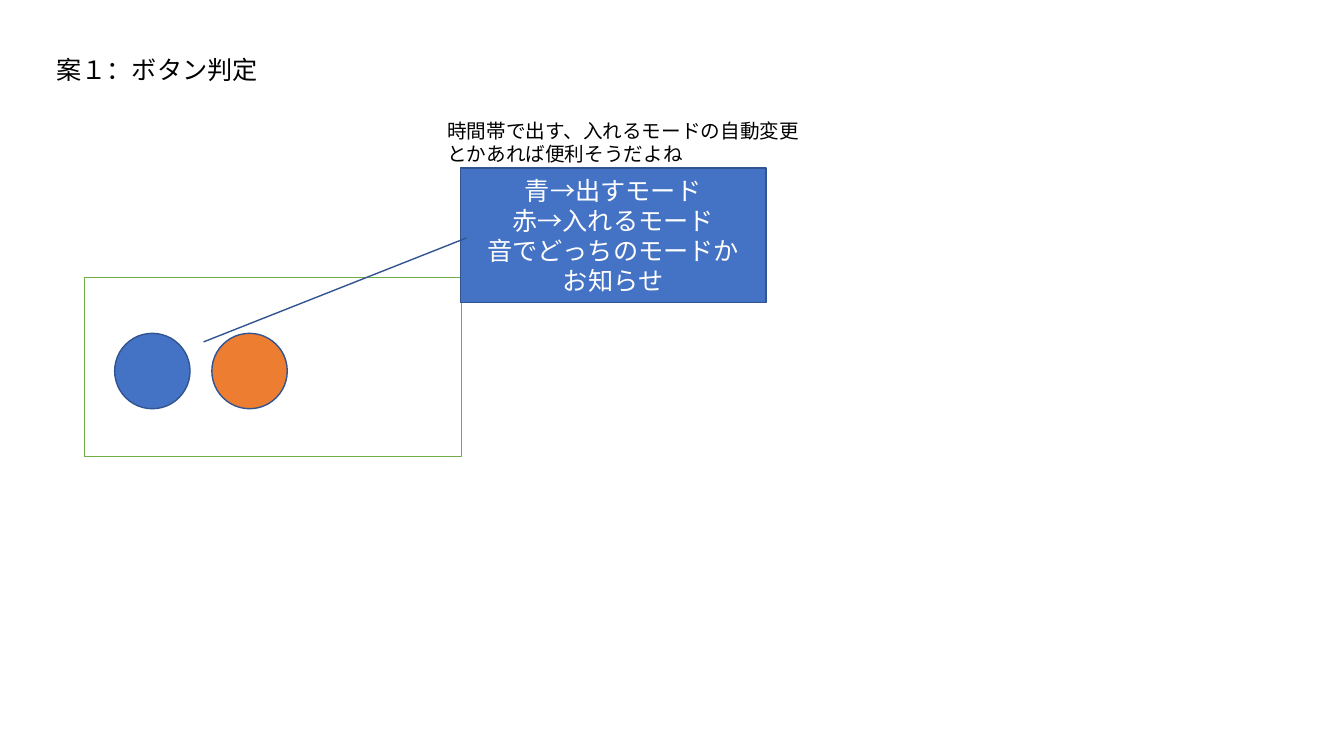
from lxml.etree import SubElement
from pptx import Presentation
from pptx.dml.color import RGBColor
from pptx.enum.shapes import MSO_SHAPE as Shape
from pptx.enum.text import MSO_ANCHOR as Anchor, MSO_AUTO_SIZE as AutoSize, PP_ALIGN as Align
from pptx.oxml.ns import qn
from pptx.util import Cm, Pt

FONT = "Noto Sans CJK JP"
COLORS = {
    "text": "000000",
    "white": "FFFFFF",
    "frame": "70AD47",
    "blue": "4472C4",
    "orange": "ED7D31",
    "outline": "325491",
}


def rgb(name):
    return RGBColor.from_string(COLORS[name])


def write_lines(tf, lines, size, color="text", align=Align.LEFT):
    """Write one paragraph per line, with the font set for Latin and Japanese."""
    for i, line in enumerate(lines):
        p = tf.add_paragraph() if i else tf.paragraphs[0]
        p.text = line
        p.alignment = align
        p.font.size = Pt(size)
        p.font.color.rgb = rgb(color)
        p.font.name = FONT
        SubElement(p._p.pPr.find(qn("a:defRPr")), qn("a:ea"), typeface=FONT)


def add_text(s, box, lines, size, wrap=True):
    tf = s.shapes.add_textbox(*map(Cm, box)).text_frame
    tf.word_wrap = wrap
    tf.auto_size = AutoSize.SHAPE_TO_FIT_TEXT
    write_lines(tf, lines, size)


def add_figure(s, kind, box, fill, line="outline"):
    sp = s.shapes.add_shape(kind, *map(Cm, box))
    sp.shadow.inherit = False
    sp.fill.solid()
    sp.fill.fore_color.rgb = rgb(fill)
    sp.line.color.rgb = rgb(line)
    sp.line.width = Pt(1)
    return sp


def add_button_panel(s, box):
    """Draw the framed panel with its row of round buttons."""
    left, top, _, _ = box
    add_figure(s, Shape.RECTANGLE, box, "white", "frame")
    size, pitch = 1.9, 2.45
    for i, fill in enumerate(("blue", "orange")):
        button = (left + 0.76 + i * pitch, top + 1.4, size, size)
        add_figure(s, Shape.OVAL, button, fill)


def add_mode_callout(s, box):
    """Draw the mode explanation with its pointer to the buttons."""
    sp = add_figure(s, Shape.LINE_CALLOUT_1, box, "blue")
    for i, value in enumerate((0.52, 0.02, 1.29, -0.84)):
        sp.adjustments[i] = value
    tf = sp.text_frame
    tf.word_wrap = True
    tf.vertical_anchor = Anchor.MIDDLE
    lines = ["青→出すモード", "赤→入れるモード", "音でどっちのモードか", "お知らせ"]
    write_lines(tf, lines, 18, "white", Align.CENTER)


def main():
    prs = Presentation()
    prs.slide_width, prs.slide_height = Cm(33.87), Cm(19.05)
    s = prs.slides.add_slide(prs.slide_layouts[6])
    add_text(s, (1.17, 1.24, 5.64, 1.02), ["案１：ボタン判定"], 18, wrap=False)
    add_button_panel(s, (2.13, 7, 9.5, 4.5))
    add_mode_callout(s, (11.6, 4.23, 7.7, 3.4))
    note = ["時間帯で出す、入れるモードの自動変更", "とかあれば便利そうだよね"]
    add_text(s, (11.02, 2.87, 12.07, 1.45), note, 14)
    prs.save("out.pptx")


if __name__ == "__main__":
    main()
